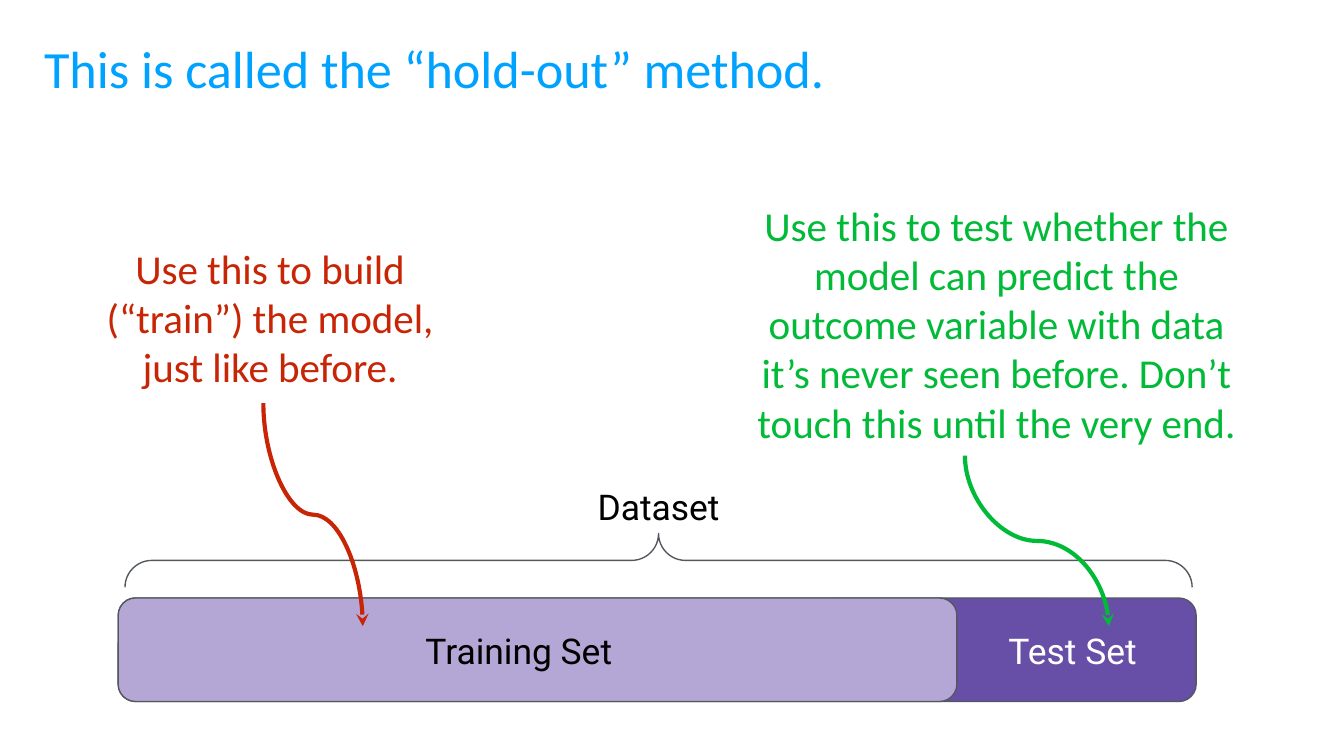
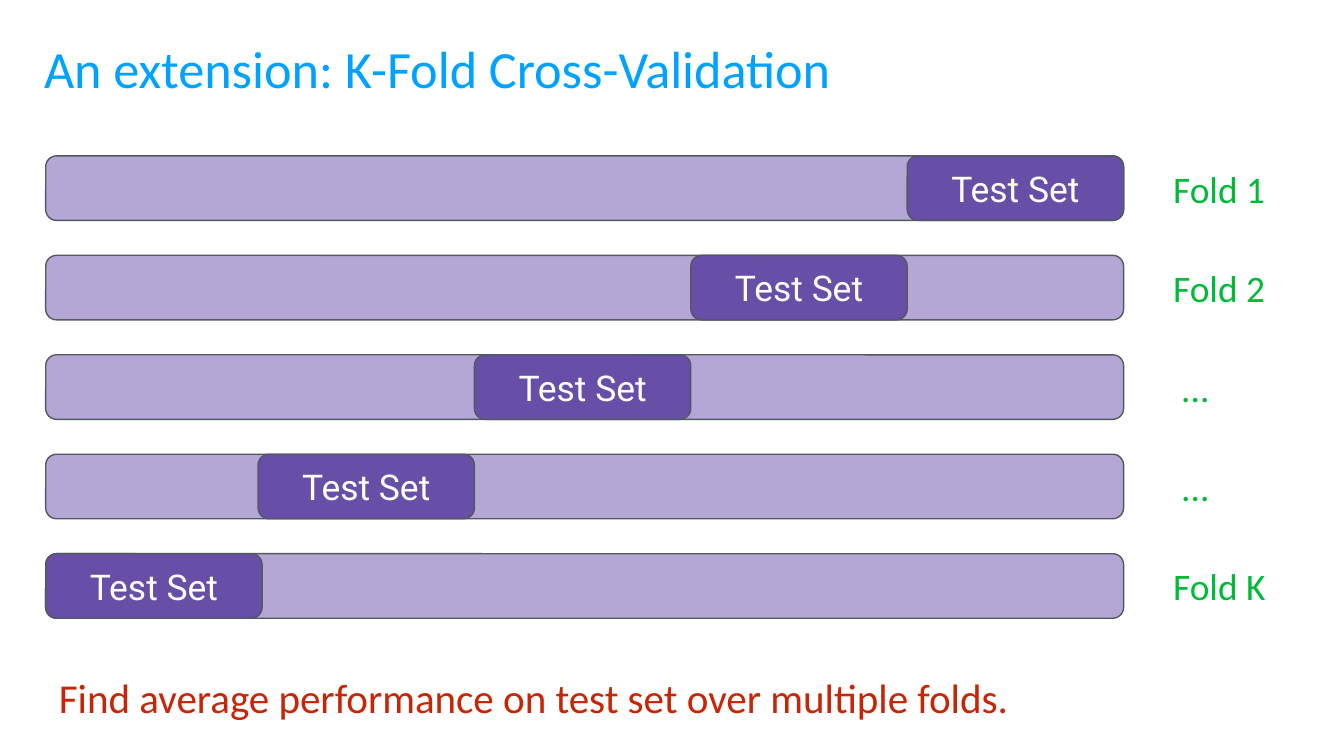
from dataclasses import dataclass

from lxml.etree import SubElement
from pptx import Presentation
from pptx.dml.color import RGBColor
from pptx.enum.shapes import MSO_CONNECTOR as Connector, MSO_SHAPE as Shape
from pptx.enum.text import MSO_ANCHOR as Anchor, PP_ALIGN as Align
from pptx.oxml.ns import qn
from pptx.util import Inches, Pt


@dataclass(frozen=True)
class Theme:
    blue: str = "00A2FF"
    red: str = "C82506"
    green: str = "00BA38"
    lilac: str = "B4A7D6"
    purple: str = "674EA7"
    outline: str = "53585F"
    black: str = "000000"
    white: str = "FFFFFF"
    body_font: str = "Calibri"
    label_font: str = "Roboto"
    title_size: int = 28
    note_size: int = 22
    fold_size: int = 20
    label_size: int = 19
    inset: float = 0.1
    corner: float = 0.167
    thin: float = 0.75
    thick: float = 2.25


THEME = Theme()
SLIDE_SIZE = (10, 5.625)
TITLE_BOX = (0.23, 0.17, 9.43, 0.58)
BAR_WIDTH = 8.02

# Hold-out slide
HOLD_OUT_TITLE = "This is called the “hold-out” method."
DATASET_BAR = (0.88, 4.45, BAR_WIDTH, 0.77)
TRAINING_WIDTH = 6.24
BRACE_BOX = (4.7, 0.2, 0.4, 7.94)
BAR_LABELS = [
    ("Training Set", (2.82, 4.62, 2.08, 0.44), THEME.black),
    ("Test Set", (7.29, 4.62, 1.38, 0.44), THEME.white),
    ("Dataset", (3.86, 3.55, 2.08, 0.44), THEME.black),
]
# text, box, colour, arrow start, arrow end
NOTES = [
    ("Use this to build (“train”) the model, just like before.",
     (0.52, 1.78, 2.98, 1.16), THEME.red, (1.96, 3), (2.7, 4.66)),
    ("Use this to test whether the model can predict the outcome variable "
     "with data it’s never seen before. Don’t touch this until the very end.",
     (5.47, 1.42, 3.89, 1.97), THEME.green, (7.18, 3.39), (8.25, 4.66)),
]

# K-fold slide
K_FOLD_TITLE = "An extension: K-Fold Cross-Validation"
FOLDS = ["Fold 1", "Fold 2", "...", "...", "Fold K"]
FOLD_LEFT, FOLD_TOP, FOLD_STEP, FOLD_HEIGHT = 0.34, 1.16, 0.74, 0.48
TEST_WIDTH = 1.61
TEST_LABEL_SIZE = (1.38, 0.27)
FOLD_LABEL_LEFT, FOLD_LABEL_WIDTH, DOTS_INDENT = 8.63, 0.98, 0.06
SUMMARY = "Find average performance on test set over multiple folds."
SUMMARY_BOX = (0.34, 4.9, 7.92, 0.58)


def inches(box):
    return [Inches(length) for length in box]


def set_attributes(target, values):
    for name, value in values.items():
        setattr(target, name, value)


def style_line(line, color, width):
    line.color.rgb = RGBColor.from_string(color)
    line.width = Pt(width)


def add_text(shapes, text, box, color, size, font=THEME.body_font,
             align=Align.LEFT, anchor=Anchor.MIDDLE):
    frame = shapes.add_textbox(*inches(box)).text_frame
    margin = Inches(THEME.inset)
    set_attributes(frame, {
        "word_wrap": True, "vertical_anchor": anchor,
        "margin_left": margin, "margin_right": margin,
        "margin_top": margin, "margin_bottom": margin,
    })
    paragraph = frame.paragraphs[0]
    paragraph.alignment = align
    run = paragraph.add_run()
    run.text = text
    set_attributes(run.font, {"name": font, "size": Pt(size)})
    run.font.color.rgb = RGBColor.from_string(color)


def add_label(shapes, text, box, color):
    add_text(shapes, text, box, color, THEME.label_size, THEME.label_font, Align.CENTER)


def add_outlined(shapes, kind, box, adjustments, fill=None):
    shape = shapes.add_shape(kind, *inches(box))
    shape.shadow.inherit = False
    for index, value in enumerate(adjustments):
        shape.adjustments[index] = value
    if fill:
        shape.fill.solid()
        shape.fill.fore_color.rgb = RGBColor.from_string(fill)
    else:
        shape.fill.background()
    style_line(shape.line, THEME.outline, THEME.thin)
    return shape


def add_bar(shapes, box, fill):
    add_outlined(shapes, Shape.ROUNDED_RECTANGLE, box, [THEME.corner], fill)


def add_curved_arrow(shapes, start, end, color):
    """Draw an S-curve that leaves and arrives vertically: a sideways curve turned by 270°."""
    (x1, y1), (x2, y2) = start, end
    middle_x, middle_y = (x1 + x2) / 2, (y1 + y2) / 2
    half_length, half_rise = (y2 - y1) / 2, (x2 - x1) / 2
    arrow = shapes.add_connector(Connector.CURVE, *inches((
        middle_x + half_length, middle_y - half_rise,
        middle_x - half_length, middle_y + half_rise)))
    style_line(arrow.line, color, THEME.thick)
    properties = arrow._element.spPr
    properties.find(qn("a:xfrm")).set("rot", str(270 * 60000))
    SubElement(properties.find(qn("a:ln")), qn("a:tailEnd"), type="stealth")
    SubElement(properties, qn("a:effectLst"))


def add_titled_slide(presentation, title):
    slide = presentation.slides.add_slide(presentation.slide_layouts[6])
    add_text(slide.shapes, title, TITLE_BOX, THEME.blue, THEME.title_size, anchor=Anchor.TOP)
    return slide.shapes


def build_hold_out(presentation):
    shapes = add_titled_slide(presentation, HOLD_OUT_TITLE)
    left, top, width, height = DATASET_BAR
    for bar_width, fill in [(width, THEME.purple), (TRAINING_WIDTH, THEME.lilac)]:
        add_bar(shapes, (left, top, bar_width, height), fill)
    for text, box, color in BAR_LABELS:
        add_label(shapes, text, box, color)
    brace = add_outlined(shapes, Shape.LEFT_BRACE, BRACE_BOX, [0.5, 0.5])
    brace.rotation = 90
    for text, box, color, start, end in NOTES:
        add_text(shapes, text, box, color, THEME.note_size, align=Align.CENTER)
        add_curved_arrow(shapes, start, end, color)


def add_test_set(shapes, left, top):
    group = shapes.add_group_shape().shapes
    add_bar(group, (left, top, TEST_WIDTH, FOLD_HEIGHT), THEME.purple)
    width, height = TEST_LABEL_SIZE
    label_box = (left + (TEST_WIDTH - width) / 2, top + (FOLD_HEIGHT - height) / 2,
                 width, height)
    add_label(group, "Test Set", label_box, THEME.white)


def build_k_fold(presentation):
    shapes = add_titled_slide(presentation, K_FOLD_TITLE)
    for row, name in enumerate(FOLDS):
        top = FOLD_TOP + row * FOLD_STEP
        add_bar(shapes, (FOLD_LEFT, top, BAR_WIDTH, FOLD_HEIGHT), THEME.lilac)
        test_left = FOLD_LEFT + BAR_WIDTH - (row + 1) * TEST_WIDTH
        add_test_set(shapes, max(FOLD_LEFT, test_left), top)
        label_left = FOLD_LABEL_LEFT + (DOTS_INDENT if name == "..." else 0)
        add_text(shapes, name, (label_left, top, FOLD_LABEL_WIDTH, FOLD_HEIGHT),
                 THEME.green, THEME.fold_size)
    add_text(shapes, SUMMARY, SUMMARY_BOX, THEME.red, THEME.note_size)


def main():
    presentation = Presentation()
    presentation.slide_width, presentation.slide_height = inches(SLIDE_SIZE)
    build_hold_out(presentation)
    build_k_fold(presentation)
    presentation.save("out.pptx")


if __name__ == "__main__":
    main()
